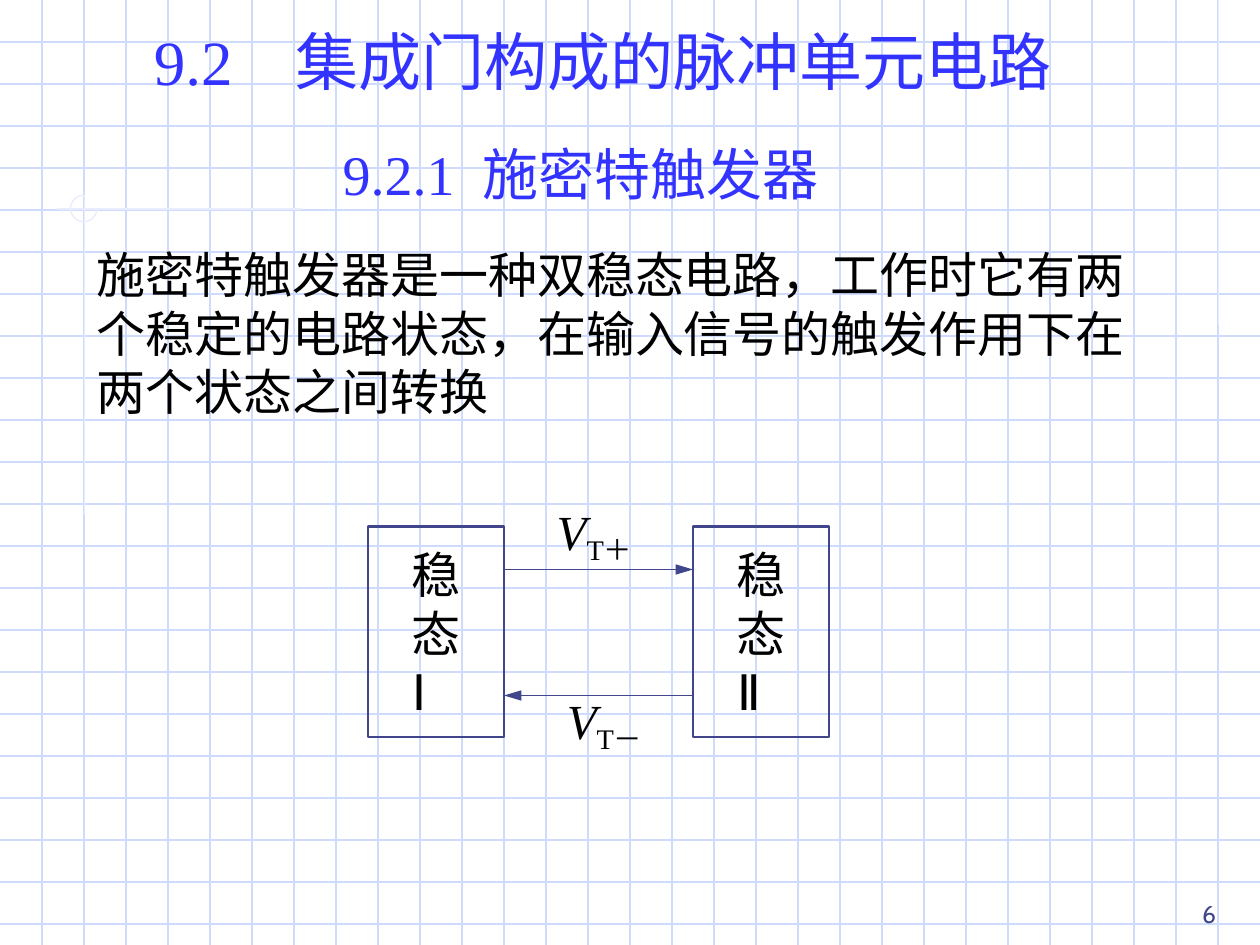
from dataclasses import dataclass

import pptx
import pptx.dml.color
import pptx.enum.shapes
import pptx.enum.text
import pptx.oxml.ns
import pptx.util
from lxml import etree

Inches = pptx.util.Inches
Pt = pptx.util.Pt
ALIGN = pptx.enum.text.PP_ALIGN
ANCHOR = pptx.enum.text.MSO_ANCHOR
SHAPE = pptx.enum.shapes.MSO_SHAPE
qn = pptx.oxml.ns.qn

WIDTH, HEIGHT = 10, 7.5


@dataclass(frozen=True)
class Theme:
    paper: str = "FFFFFF"
    grid: str = "CFDBFD"
    ornament: str = "E8ECFE"
    heading: str = "3333FF"
    ink: str = "40458C"
    text: str = "000000"
    serif: str = "Times New Roman"
    sans: str = "Cabin"
    title: int = 36
    subtitle: int = 32
    body: int = 28
    number: int = 14
    thin: float = 0.75
    thick: float = 1.5


class SlideBuilder:
    def __init__(self, prs, theme):
        self.theme = theme
        self.s = prs.slides.add_slide(prs.slide_layouts[6])
        fill = self.s.background.fill
        fill.solid()
        fill.fore_color.rgb = self.rgb(theme.paper)

    @staticmethod
    def rgb(color):
        return pptx.dml.color.RGBColor.from_string(color)

    def outline(self, sp, color, width):
        sp.line.color.rgb = self.rgb(color)
        sp.line.width = Pt(width)

    def line(self, x1, y1, x2, y2, color, arrow=False):
        sp = self.s.shapes.add_connector(
            pptx.enum.shapes.MSO_CONNECTOR.STRAIGHT,
            Inches(x1), Inches(y1), Inches(x2), Inches(y2))
        self.outline(sp, color, self.theme.thin)
        if arrow:
            etree.SubElement(sp.line._get_or_add_ln(), qn("a:tailEnd"),
                             type="triangle", len="lg")
        etree.SubElement(sp._element.spPr, qn("a:effectLst"))

    def shape(self, kind, x, y, w, h, color, width):
        """Add an outlined shape without fill."""
        sp = self.s.shapes.add_shape(kind, Inches(x), Inches(y), Inches(w), Inches(h))
        sp.shadow.inherit = False
        sp.fill.background()
        self.outline(sp, color, width)
        return sp

    def text(self, x, y, w, h, paragraphs, size, font, color,
             align=ALIGN.LEFT, wrap=True, anchor=ANCHOR.TOP):
        """Add a text box; each paragraph is a list of (text, run settings)."""
        sp = self.s.shapes.add_textbox(Inches(x), Inches(y), Inches(w), Inches(h))
        tf = sp.text_frame
        tf.word_wrap = wrap
        if not wrap:
            tf.auto_size = pptx.enum.text.MSO_AUTO_SIZE.SHAPE_TO_FIT_TEXT
        tf.vertical_anchor = anchor
        for i, runs in enumerate(paragraphs):
            p = tf.paragraphs[0] if i == 0 else tf.add_paragraph()
            p.alignment = align
            for content, settings in runs:
                r = p.add_run()
                r.text = content
                r.font.size = Pt(size)
                r.font.name = font
                r.font.color.rgb = self.rgb(color)
                r.font.italic = settings.get("italic", False)
                for name in ("baseline", "spc"):
                    if name in settings:
                        r.font._element.set(name, str(settings[name]))

    def heading(self, x, y, w, h, number, name, gap, size, **options):
        """Add a numbered heading with extra points of space after the number."""
        runs = [(number, {}), (" ", {"spc": gap * 100}), (name, {})]
        self.text(x, y, w, h, [runs], size, self.theme.serif, self.theme.heading, **options)

    def state(self, x, numeral):
        t = self.theme
        self.shape(SHAPE.RECTANGLE, x, 4.18, 1.08, 1.67, t.ink, t.thick)
        self.text(x + 0.25, 4.27, 0.59, 1.5, [[(c, {})] for c in "稳态" + numeral],
                  t.body, t.sans, t.text, wrap=False)

    def threshold(self, x, y, sign):
        runs = [("V", {"italic": True}), ("T" + sign, {"baseline": -20000})]
        self.text(x, y, 0.89, 0.61, [runs], self.theme.body, self.theme.serif,
                  self.theme.text, wrap=False)

    def grid(self):
        color = self.theme.grid
        for i in range(1, 23):
            self.line(0, i / 3, WIDTH, i / 3, color)
        for i in range(1, 30):
            self.line(i / 3, 0, i / 3, HEIGHT, color)

    def ornament(self):
        t = self.theme
        self.line(9.67, 0, 9.67, 2.58, t.ornament)
        self.line(2.4, 1.66, 0.45, 1.66, t.ornament)
        self.line(0.67, 1.55, 0.67, 4.09, t.ornament)
        arc = self.shape(SHAPE.ARC, 0.56, 1.55, 0.21, 0.21, t.ornament, t.thin)
        arc.adjustments[0] = 0
        arc.adjustments[1] = 162  # 270 degrees


def main():
    prs = pptx.Presentation()
    prs.slide_width, prs.slide_height = Inches(WIDTH), Inches(HEIGHT)
    t = Theme()
    b = SlideBuilder(prs, t)
    b.grid()
    b.ornament()

    b.heading(0.57, 0.13, 8.43, 0.7, "9.2", "集成门构成的脉冲单元电路", 27, t.title,
              align=ALIGN.CENTER)
    b.heading(2.62, 1.06, 4.09, 0.64, "9.2.1", "施密特触发器", 8, t.subtitle, wrap=False)
    definition = ("施密特触发器是一种双稳态电路，工作时它有两个稳定的电路状态，"
                  "在输入信号的触发作用下在两个状态之间转换")
    b.text(0.67, 1.89, 8.67, 1.5, [[(definition, {})]], t.body, t.sans, t.text)

    b.state(2.92, "Ⅰ")
    b.state(5.5, "Ⅱ")
    b.line(4, 4.52, 5.5, 4.52, t.ink, arrow=True)
    b.line(5.5, 5.52, 4, 5.52, t.ink, arrow=True)
    b.threshold(4.4, 5.43, "－")
    b.threshold(4.32, 3.93, "＋")

    b.text(7.67, 6.92, 2.08, 0.5, [[("6", {})]], t.number, t.sans, t.ink,
           align=ALIGN.RIGHT, anchor=ANCHOR.BOTTOM)
    prs.save("out.pptx")


if __name__ == "__main__":
    main()
